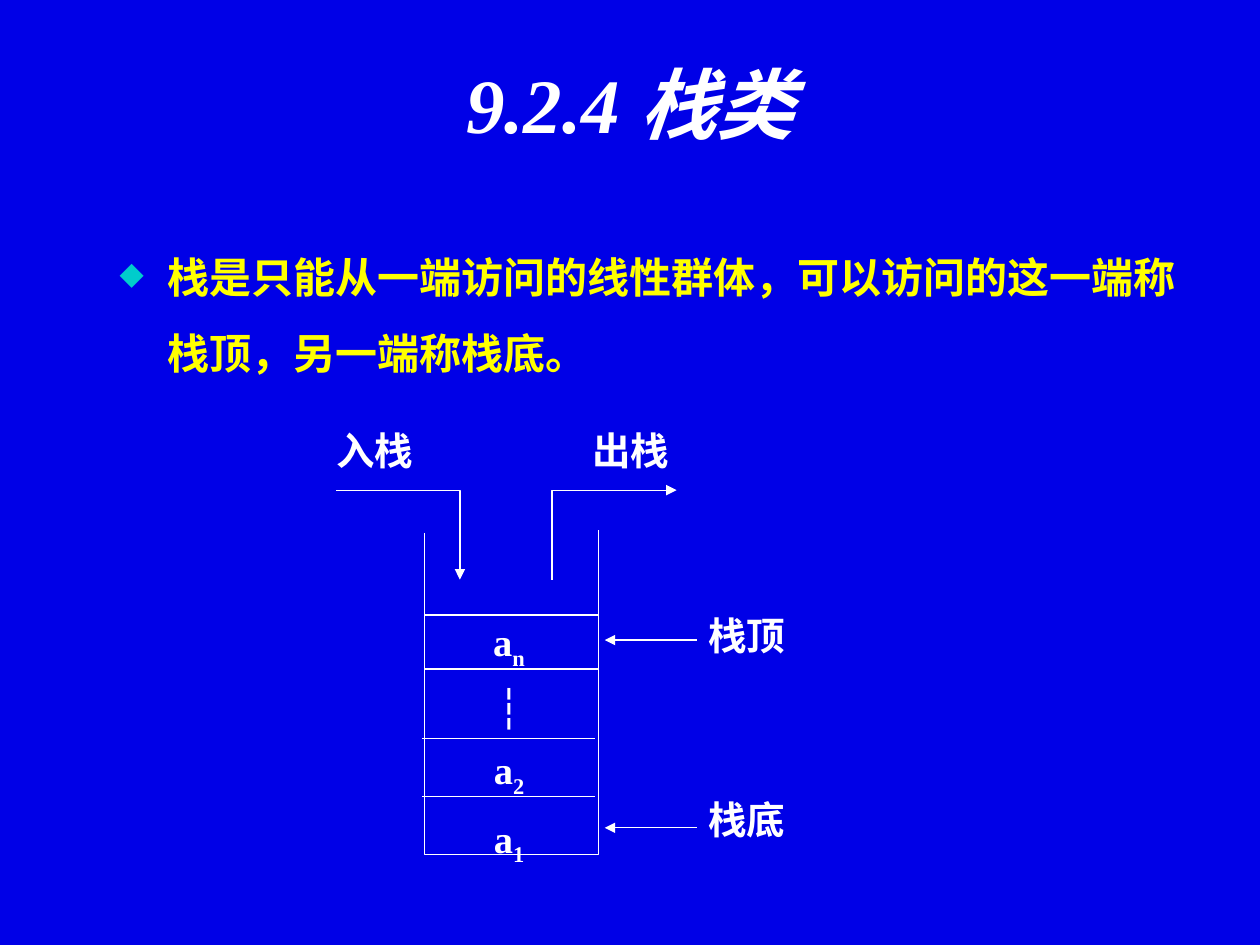
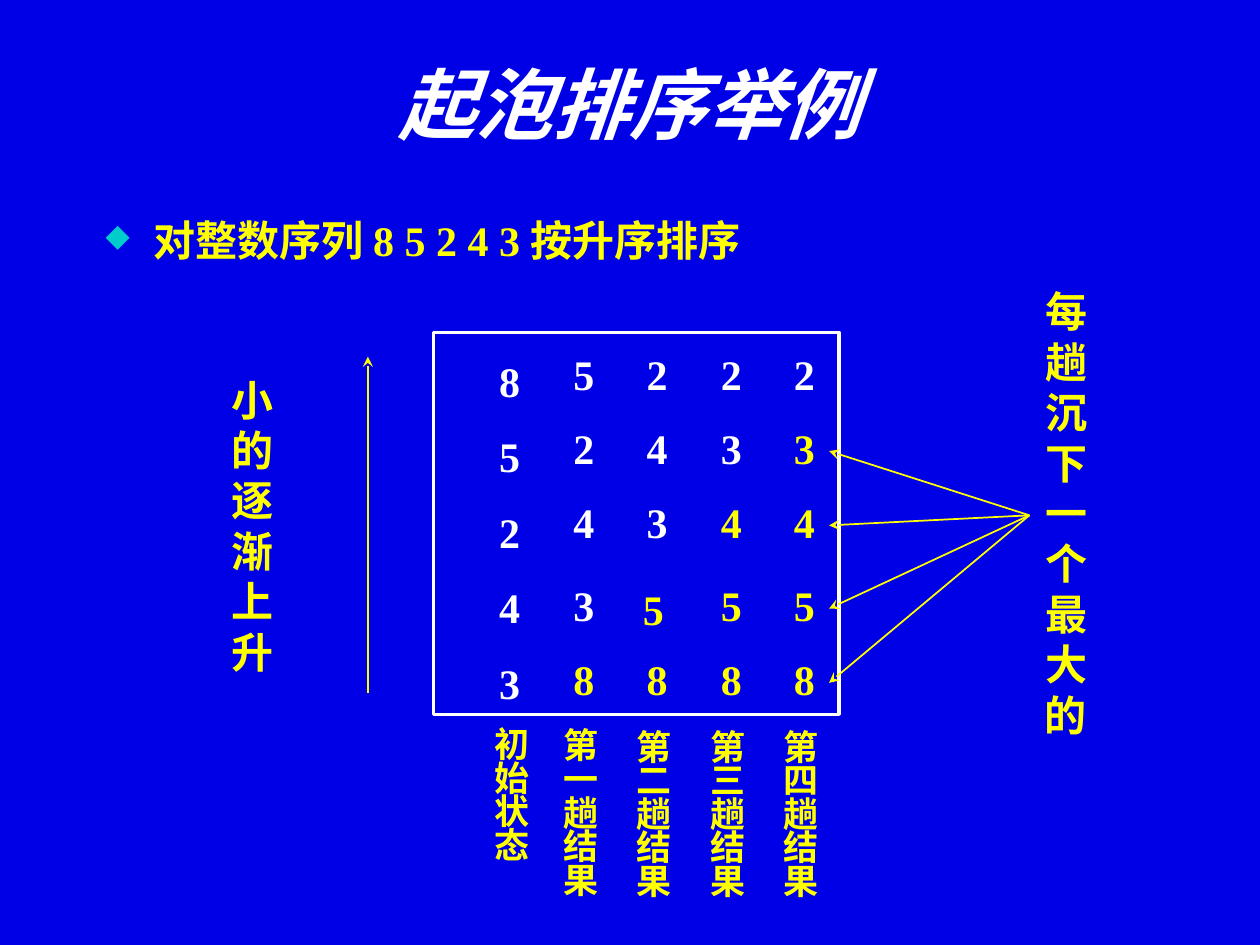
import pptx
import pptx.dml.color
import pptx.enum.shapes
import pptx.enum.text
import pptx.oxml.ns
import pptx.util
import lxml.etree

Inches = pptx.util.Inches
Pt = pptx.util.Pt
RGBColor = pptx.dml.color.RGBColor
qn = pptx.oxml.ns.qn
ALIGN = pptx.enum.text.PP_ALIGN
ANCHOR = pptx.enum.text.MSO_ANCHOR
AUTO_SIZE = pptx.enum.text.MSO_AUTO_SIZE
STRAIGHT = pptx.enum.shapes.MSO_CONNECTOR.STRAIGHT
RECTANGLE = pptx.enum.shapes.MSO_SHAPE.RECTANGLE

BLUE = RGBColor(0x00, 0x00, 0xE7)
WHITE = RGBColor(0xFF, 0xFF, 0xFF)
YELLOW = RGBColor(0xFF, 0xFF, 0x00)
CYAN = RGBColor(0x00, 0xCC, 0xCC)
FONT = "Times New Roman"


def add_text(slide, box, lines, size, color, align=ALIGN.CENTER, spacing=1.0,
             inset=True, wrap=True, grow=False):
    shape = slide.shapes.add_textbox(*[Inches(length) for length in box])
    frame = shape.text_frame
    frame.word_wrap = wrap
    frame.auto_size = AUTO_SIZE.SHAPE_TO_FIT_TEXT if grow else AUTO_SIZE.NONE
    if not inset:
        frame.margin_left = frame.margin_right = 0
        frame.margin_top = frame.margin_bottom = 0
    for index, line in enumerate(lines):
        paragraph = frame.add_paragraph() if index else frame.paragraphs[0]
        paragraph.alignment = align
        paragraph.line_spacing = spacing
        for part, text in enumerate(line.split("_")):
            run = paragraph.add_run()
            run.text = text
            run.font.name = FONT
            run.font.size = Pt(size)
            run.font.bold = True
            run.font.color.rgb = color
            if part:
                run._r.get_or_add_rPr().set("baseline", "-25000")
    return shape


def style_line(shape, color, width, arrow=None):
    shape.line.color.rgb = color
    shape.line.width = Pt(width)
    properties = shape.element.spPr
    if arrow:
        outline = properties.find(qn("a:ln"))
        lxml.etree.SubElement(outline, qn("a:tailEnd"), type=arrow)
    lxml.etree.SubElement(properties, qn("a:effectLst"))


presentation = pptx.Presentation()
presentation.slide_width = Inches(10)
presentation.slide_height = Inches(7.5)
background = presentation.slide_master.background.fill
background.solid()
background.fore_color.rgb = BLUE

contents = [
    ("9.2.4 栈类", 0.85, 1.75,
     "栈是只能从一端访问的线性群体，可以访问的这一端称栈顶，另一端称栈底。"),
    ("起泡排序举例", 0.74, 1.45, "对整数序列 8 5 2 4 3 按升序排序"),
]
for heading, left, top, statement in contents:
    slide = presentation.slides.add_slide(presentation.slide_layouts[5])
    title = slide.shapes.title
    title.left, title.top = Inches(0.69), Inches(0.4)
    title.width, title.height = Inches(8.62), Inches(1.45)
    title.text_frame.vertical_anchor = ANCHOR.TOP
    paragraph = title.text_frame.paragraphs[0]
    paragraph.alignment = ALIGN.CENTER
    run = paragraph.add_run()
    run.text = heading
    run.font.name = FONT
    run.font.size = Pt(44)
    run.font.bold = True
    run.font.italic = True
    run.font.color.rgb = WHITE

    body = add_text(slide, (left, top, 8.62, 4.76), [statement], 24, YELLOW,
                    ALIGN.LEFT, 1.5)
    bullet = body.text_frame.paragraphs[0]._p.get_or_add_pPr()
    bullet.set("marL", str(Inches(0.38)))
    bullet.set("indent", str(-Inches(0.38)))
    bullet_color = lxml.etree.SubElement(bullet, qn("a:buClr"))
    lxml.etree.SubElement(bullet_color, qn("a:srgbClr"), val=str(CYAN))
    lxml.etree.SubElement(bullet, qn("a:buSzPct"), val="75000")
    lxml.etree.SubElement(bullet, qn("a:buChar"), char="◆")

stack_slide, sort_slide = presentation.slides

stack_outlines = [
    ([(3.37, 4.23), (3.37, 6.78), (4.75, 6.78), (4.75, 4.21)], None),
    ([(2.67, 3.89), (3.65, 3.89), (3.65, 4.6)], "triangle"),
    ([(4.38, 4.6), (4.38, 3.89), (5.37, 3.89)], "triangle"),
]
for points, arrow in stack_outlines:
    start, *corners = [(Inches(x), Inches(y)) for x, y in points]
    builder = stack_slide.shapes.build_freeform(*start)
    builder.add_line_segments(corners, close=False)
    outline = builder.convert_to_shape()
    outline.fill.background()
    style_line(outline, WHITE, 0.75, arrow)

add_text(stack_slide, (3.42, 4.78, 1.24, 1.99), ["a_n", "┆", "a_2", "a_1"],
         22, WHITE, spacing=1.3, inset=False)

stack_lines = [
    (3.37, 4.75, 4.88, None),
    (3.37, 4.75, 5.31, None),
    (3.35, 4.72, 5.86, None),
    (3.35, 4.72, 6.32, None),
    (5.53, 4.8, 5.08, "triangle"),
    (5.53, 4.8, 6.57, "triangle"),
]
for start, end, y, arrow in stack_lines:
    line = stack_slide.shapes.add_connector(
        STRAIGHT, Inches(start), Inches(y), Inches(end), Inches(y))
    style_line(line, WHITE, 0.75, arrow)

stack_labels = [
    ("入栈", 2.67, 3.39, 0.94),
    ("出栈", 4.7, 3.39, 0.94),
    ("栈顶", 5.62, 4.86, 1.63),
    ("栈底", 5.62, 6.32, 1.63),
]
for label, left, top, width in stack_labels:
    add_text(stack_slide, (left, top, width, 0.45), [label], 22, WHITE,
             ALIGN.LEFT, inset=False)

add_text(sort_slide, (3.86, 2.57, 0.37, 3.13), list("85243"), 24, WHITE,
         spacing=1.5, wrap=False, grow=True)

pass_lefts = [4.45, 5.03, 5.62, 6.2]
row_tops = [2.72, 3.3, 3.89, 4.55, 5.14]
pass_results = ["52438", "24358", "23458", "23458"]
for column, (left, result) in enumerate(zip(pass_lefts, pass_results)):
    for row, (top, digit) in enumerate(zip(row_tops, result)):
        nudge = 0.03 if (column, row) == (1, 3) else 0
        color = YELLOW if row + column >= 4 else WHITE
        add_text(sort_slide, (left - nudge, top + nudge, 0.37, 0.51), [digit],
                 24, color, wrap=False, grow=True)

frame_box = sort_slide.shapes.add_shape(
    RECTANGLE, Inches(3.44), Inches(2.64), Inches(3.22), Inches(3.03))
frame_box.fill.background()
style_line(frame_box, WHITE, 2)

pass_labels = [
    ("初始状态", 3.83, 5.75, 1.19),
    ("第一趟结果", 4.37, 5.76, 1.46),
    ("第二趟结果", 4.95, 5.77, 1.46),
    ("第三趟结果", 5.54, 5.77, 1.46),
    ("第四趟结果", 6.12, 5.77, 1.46),
]
for label, left, top, height in pass_labels:
    add_text(sort_slide, (left, top, 0.42, height), [label], 20, YELLOW,
             spacing=0.8, grow=True)

add_text(sort_slide, (1.67, 2.92, 0.67, 2.52), ["小的逐渐上升"], 24, YELLOW,
         grow=True)
sinking_label = add_text(sort_slide, (8.17, 2.22, 0.58, 3.74),
                         ["每趟沉下一个最大的"], 24, YELLOW, grow=True)

rising_arrow = sort_slide.shapes.add_connector(
    STRAIGHT, Inches(2.92), Inches(5.5), Inches(2.92), Inches(2.83))
style_line(rising_arrow, YELLOW, 1, "stealth")

for target_y in [5.42, 4.83, 4.17, 3.58]:
    sinking_arrow = sort_slide.shapes.add_connector(
        STRAIGHT, Inches(8.17), Inches(4.08), Inches(6.58), Inches(target_y))
    sinking_arrow.begin_connect(sinking_label, 1)
    style_line(sinking_arrow, YELLOW, 1, "stealth")

presentation.save("out.pptx")
